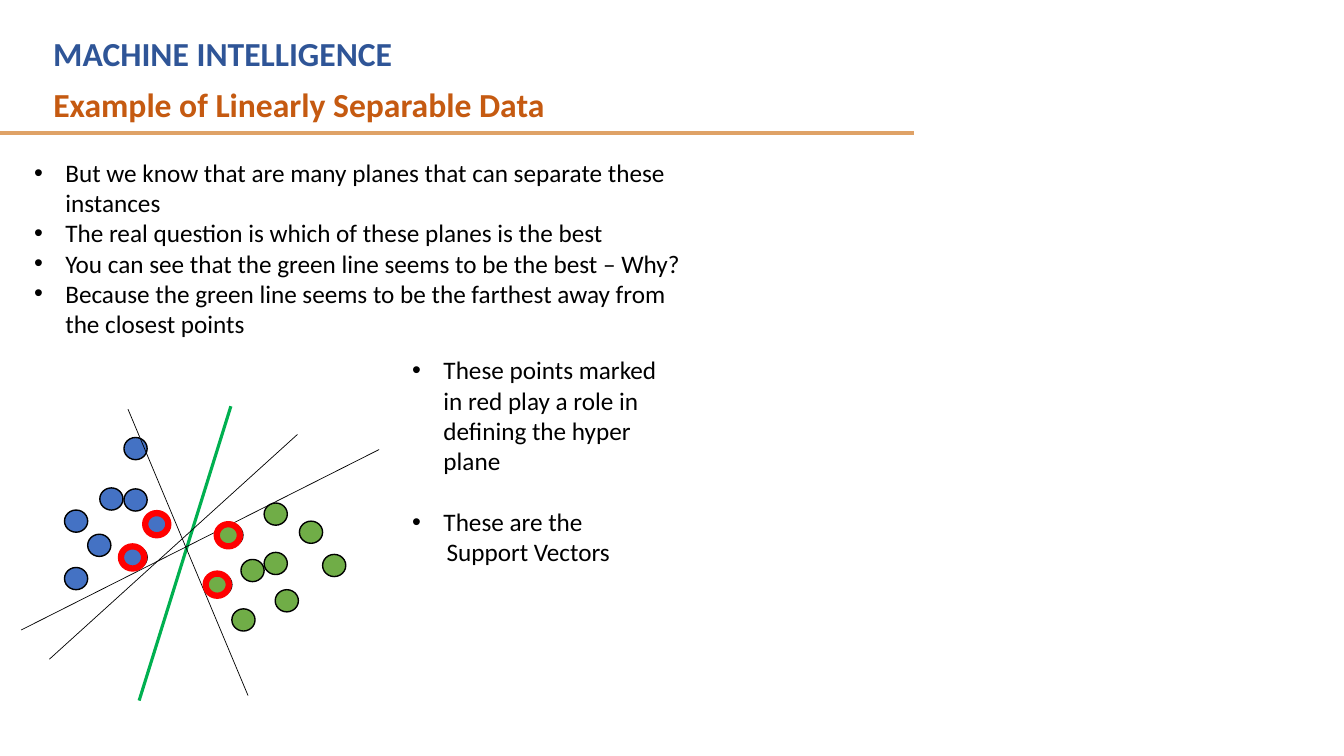
from dataclasses import dataclass

from lxml import etree
from pptx import Presentation
from pptx import util as u
from pptx.dml.color import RGBColor
from pptx.enum import shapes, text
from pptx.oxml import ns


@dataclass(frozen=True)
class Theme:
    font: str = "Calibri"
    heading_size: float = 24
    body_size: float = 18
    course: str = "2F5597"
    topic: str = "C55A11"
    rule: str = "DFA267"
    ink: str = "000000"
    blue_class: str = "4472C4"
    green_class: str = "70AD47"
    best_plane: str = "00B050"
    support: str = "FF0000"


@dataclass(frozen=True)
class Line:
    start: tuple[float, float]
    end: tuple[float, float]
    color: str
    width: float


@dataclass(frozen=True)
class Points:
    fill: str
    outline: str
    width: float
    corners: tuple[tuple[float, float], ...]


@dataclass(frozen=True)
class Paragraph:
    words: str
    bullet: bool = False
    indent: float = 0
    space_before: float = 0


@dataclass(frozen=True)
class TextBlock:
    box: tuple[float, float, float, float]
    paragraphs: tuple[Paragraph, ...]
    color: str
    size: float
    bold: bool = False


THEME = Theme()
POINT_SIZE = (0.23, 0.22)
HANG = 0.31

HEADER_RULE = Line((-0.01, 1.32), (9.07, 1.32), THEME.rule, 3)
PLANES = (
    Line((2.29, 4.03), (1.38, 6.95), THEME.best_plane, 2.25),
    Line((1.27, 4.06), (2.46, 6.9), THEME.ink, 0.5),
    Line((0.21, 6.25), (3.76, 4.46), THEME.ink, 0.5),
    Line((0.49, 6.54), (2.95, 4.31), THEME.ink, 0.5),
)
INSTANCES = (
    Points(THEME.blue_class, THEME.ink, 1, (
        (1.23, 4.34), (1.23, 5.42), (0.64, 5.63), (0.99, 4.84),
        (0.64, 5.06), (1.23, 4.85), (0.87, 5.3), (1.46, 5.09))),
    Points(THEME.green_class, THEME.ink, 1, (
        (2.18, 5.2), (2.73, 5.85), (2.97, 5.17), (2.3, 6.04), (3.2, 5.5),
        (2.07, 5.69), (2.62, 5.48), (2.62, 4.99), (2.39, 5.55))),
)
SUPPORT_VECTORS = (
    Points(THEME.blue_class, THEME.support, 4.5, ((1.2, 5.42), (1.44, 5.09))),
    Points(THEME.green_class, THEME.support, 4.5, ((2.15, 5.2), (2.04, 5.69))),
)
HEADINGS = (
    TextBlock((0.43, 0.28, 8.2, 0.5), (Paragraph("MACHINE INTELLIGENCE"),),
              THEME.course, THEME.heading_size, True),
    TextBlock((0.43, 0.78, 8.75, 0.5),
              (Paragraph("Example of Linearly Separable Data"),),
              THEME.topic, THEME.heading_size, True),
)
ARGUMENT = TextBlock((0.24, 1.51, 6.74, 2.22), (
    Paragraph("But we know that are many planes that can separate these instances", True),
    Paragraph("The real question is which of these planes is the best", True),
    Paragraph("You can see that the green line seems to be the best – Why?", True),
    Paragraph("Because the green line seems to be the farthest away from "
              "the closest points", True),
), THEME.ink, THEME.body_size)
CONCLUSION = TextBlock((3.99, 3.47, 2.78, 2.22), (
    Paragraph("These points marked in red play a role in defining the hyper plane", True),
    Paragraph("These are the", True, space_before=22),
    Paragraph("Support Vectors", indent=0.34),
), THEME.ink, THEME.body_size)


def set_indent(paragraph, left: float, first: float) -> None:
    properties = paragraph._p.get_or_add_pPr()
    properties.set("marL", str(u.Inches(left)))
    properties.set("indent", str(u.Inches(first)))


def add_bullet(paragraph) -> None:
    set_indent(paragraph, HANG, -HANG)
    properties = paragraph._p.get_or_add_pPr()
    etree.SubElement(properties, ns.qn("a:buFont"), typeface="Arial")
    etree.SubElement(properties, ns.qn("a:buChar"), char="•")


def add_text(slide, block: TextBlock) -> None:
    frame = slide.shapes.add_textbox(*map(u.Inches, block.box)).text_frame
    frame.word_wrap = True
    frame.auto_size = text.MSO_AUTO_SIZE.SHAPE_TO_FIT_TEXT
    font_format = {"name": THEME.font, "size": u.Pt(block.size), "bold": block.bold}
    for index, content in enumerate(block.paragraphs):
        paragraph = frame.add_paragraph() if index else frame.paragraphs[0]
        if content.bullet:
            add_bullet(paragraph)
        elif content.indent:
            set_indent(paragraph, content.indent, 0)
        if content.space_before:
            paragraph.space_before = u.Pt(content.space_before)
        run = paragraph.add_run()
        run.text = content.words
        for attribute, value in font_format.items():
            setattr(run.font, attribute, value)
        run.font.color.rgb = RGBColor.from_string(block.color)


def add_line(slide, line: Line) -> None:
    connector = slide.shapes.add_connector(
        shapes.MSO_CONNECTOR.STRAIGHT, *map(u.Inches, line.start + line.end))
    connector.line.color.rgb = RGBColor.from_string(line.color)
    connector.line.width = u.Pt(line.width)
    etree.SubElement(connector._element.spPr, ns.qn("a:effectLst"))


def add_points(slide, points: Points) -> None:
    for corner in points.corners:
        point = slide.shapes.add_shape(
            shapes.MSO_SHAPE.OVAL, *map(u.Inches, corner + POINT_SIZE))
        point.shadow.inherit = False
        point.fill.solid()
        point.fill.fore_color.rgb = RGBColor.from_string(points.fill)
        point.line.color.rgb = RGBColor.from_string(points.outline)
        point.line.width = u.Pt(points.width)


def main() -> None:
    presentation = Presentation()
    presentation.slide_width = u.Inches(13.33)
    presentation.slide_height = u.Inches(7.5)
    slide = presentation.slides.add_slide(presentation.slide_layouts[6])

    add_line(slide, HEADER_RULE)
    for block in (*HEADINGS, ARGUMENT):
        add_text(slide, block)
    for points in INSTANCES:
        add_points(slide, points)
    for plane in PLANES:
        add_line(slide, plane)
    for points in SUPPORT_VECTORS:
        add_points(slide, points)
    add_text(slide, CONCLUSION)

    presentation.save("out.pptx")


if __name__ == "__main__":
    main()
